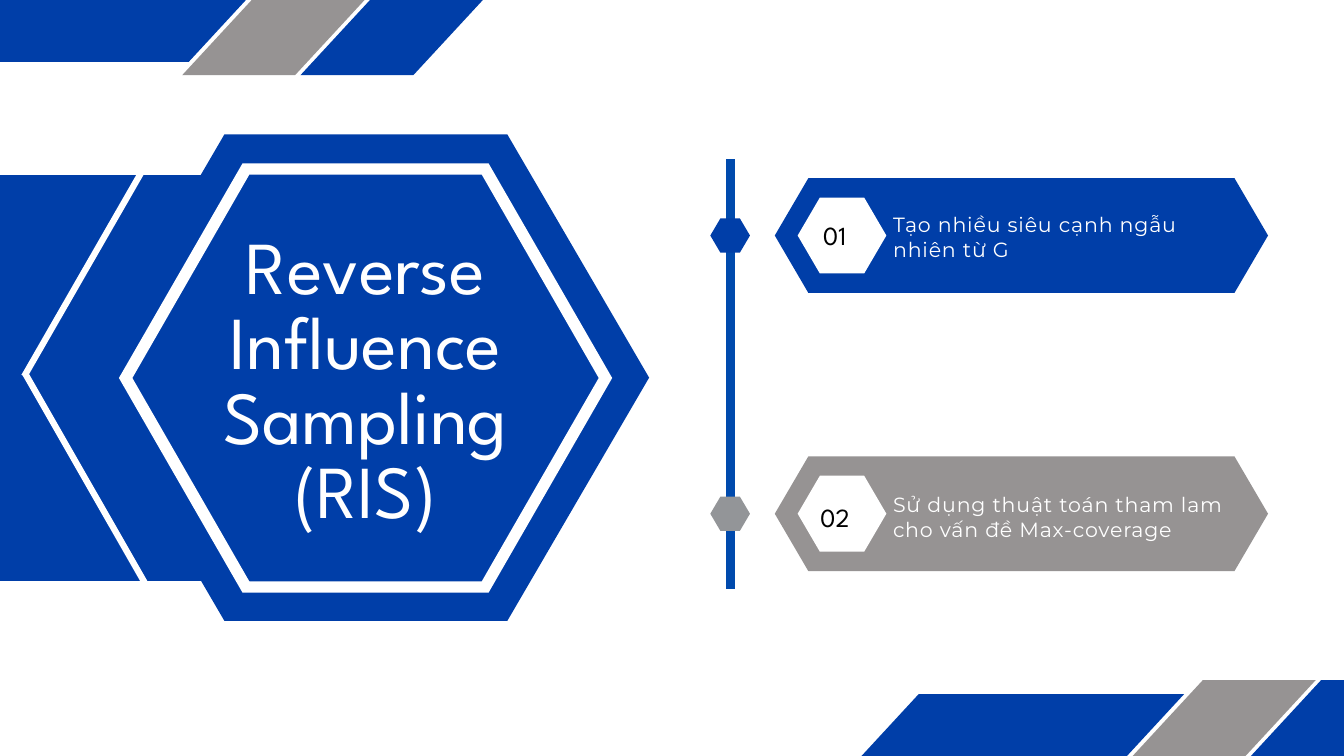
from lxml import etree
from pptx import Presentation
from pptx.dml.color import RGBColor
from pptx.enum.shapes import MSO_CONNECTOR
from pptx.enum.text import MSO_ANCHOR, MSO_AUTO_SIZE, PP_ALIGN
from pptx.oxml.ns import qn
from pptx.util import Inches, Pt

STRAIGHT = MSO_CONNECTOR.STRAIGHT
TOP = MSO_ANCHOR.TOP
FIXED = MSO_AUTO_SIZE.NONE
LEFT, CENTER = PP_ALIGN.LEFT, PP_ALIGN.CENTER

BLUE, GREY, WHITE, BLACK = "003EA8", "969393", "FFFFFF", "000000"
HEAD, BODY = "League Spartan", "Montserrat"


def color(code):
    return RGBColor.from_string(code)


def hexagon(x, y, w, h, cut):
    mid = y + h / 2
    return [(x + w, mid), (x + w - cut, y + h), (x + cut, y + h),
            (x, mid), (x + cut, y), (x + w - cut, y)]


def slant(x, y, w, h, lean):
    return [(x + lean, y), (x + w, y), (x + w - lean, y + h), (x, y + h)]


class Deck:
    def __init__(self):
        self.prs = Presentation()
        self.prs.slide_width = Inches(20)
        self.prs.slide_height = Inches(11.25)
        self.slide = self.prs.slides.add_slide(self.prs.slide_layouts[5])
        self.shapes = self.slide.shapes

    def outline(self, fill, *loops):
        loops = [[(Inches(x), Inches(y)) for x, y in loop] for loop in loops]
        pen = self.shapes.build_freeform(*loops[0][0])
        pen.add_line_segments(loops[0][1:], close=True)
        for loop in loops[1:]:
            pen.move_to(*loop[0])
            pen.add_line_segments(loop[1:], close=True)
        shape = pen.convert_to_shape()
        shape.shadow.inherit = False
        shape.fill.solid()
        shape.fill.fore_color.rgb = color(fill)
        shape.line.fill.background()

    def line(self, start, end, tint, width):
        ends = [Inches(v) for v in (*start, *end)]
        link = self.shapes.add_connector(STRAIGHT, *ends)
        link.line.color.rgb = color(tint)
        link.line.width = Pt(width)
        etree.SubElement(link._element.spPr, qn("a:effectLst"))

    def style(self, box, text, font, size, tint, lead, align=LEFT, space=0):
        frame = box.text_frame
        values = {"word_wrap": True, "auto_size": FIXED,
                  "vertical_anchor": TOP, "margin_left": 0, "margin_top": 0,
                  "margin_right": 0, "margin_bottom": 0}
        for name, value in values.items():
            setattr(frame, name, value)
        para = frame.paragraphs[0]
        para.alignment = align
        para.line_spacing = Pt(lead)
        run = para.add_run()
        run.text = text
        for name, value in {"name": font, "size": Pt(size)}.items():
            setattr(run.font, name, value)
        run.font.color.rgb = color(tint)
        if space:
            run._r.get_or_add_rPr().set("spc", str(round(space * 100)))

    def title(self, x, y, w, h, text, *look):
        box = self.shapes.title
        place = {"left": x, "top": y, "width": w, "height": h}
        for name, value in place.items():
            setattr(box, name, Inches(value))
        box._element.getparent().append(box._element)
        self.style(box, text, *look)

    def text(self, x, y, w, h, text, *look):
        box = self.shapes.add_textbox(*map(Inches, (x, y, w, h)))
        self.style(box, text, *look)


def main():
    deck = Deck()
    deck.outline(BLUE, hexagon(1.23, 2, 8.43, 7.24, 2.11))
    deck.line((10.87, 2.37), (10.87, 8.76), "004AAD", 9)

    steps = [
        (3.51, BLUE, BLUE, "01", 12.25, 3.19, 3.15,
         "Tạo nhiều siêu cạnh ngẫu nhiên từ G"),
        (7.65, GREY, "939598", "02", 12.21, 7.38, 7.31,
         "Sử dụng thuật toán tham lam cho vấn đề Max-coverage"),
    ]
    for mid, fill, dot, *_ in steps:
        deck.outline(dot, hexagon(10.57, mid - 0.26, 0.59, 0.51, 0.15))
        deck.outline(fill, hexagon(11.53, mid - 0.86, 7.34, 1.71, 0.5))
        deck.outline(WHITE, hexagon(11.87, mid - 0.57, 1.32, 1.13, 0.33))

    deck.outline(BLUE, slant(-0.37, 2.61, 7.15, 6.03, 0))
    for x, y, dx, dy in [(-1.14, 0, 3.85, -0.21), (12.82, 10.33, 3.85, -0.21)]:
        deck.outline(BLUE, slant(x, y, 4.8, 0.92, 0.85))
        deck.outline(GREY, slant(x + dx, y + dy, 2.91, 1.33, 1.23))
        deck.outline(BLUE, slant(x + dx + 1.76, y + dy, 2.91, 1.33, 1.23))

    deck.outline(WHITE, hexagon(1.77, 2.43, 7.34, 6.39, 1.84),
                 hexagon(1.97, 2.6, 6.94, 6.05, 1.74)[::-1])
    deck.line((2.17, 8.7), (0.37, 5.55), WHITE, 6.75)
    deck.line((0.36, 5.6), (2.17, 2.45), WHITE, 6.75)

    deck.title(2.26, 3.5, 6.36, 4.48, "Reverse Influence Sampling (RIS)",
               HEAD, 80, WHITE, 80, CENTER)
    for *_, num, left, top, base, words in steps:
        deck.text(left, top, 0.63, 0.53, num, HEAD, 28, BLACK, 39.2)
        deck.text(13.29, base, 5.14, 0.72, words,
                  BODY, 22, WHITE, 26.8, LEFT, 0.9)

    deck.prs.save("out.pptx")


if __name__ == "__main__":
    main()
